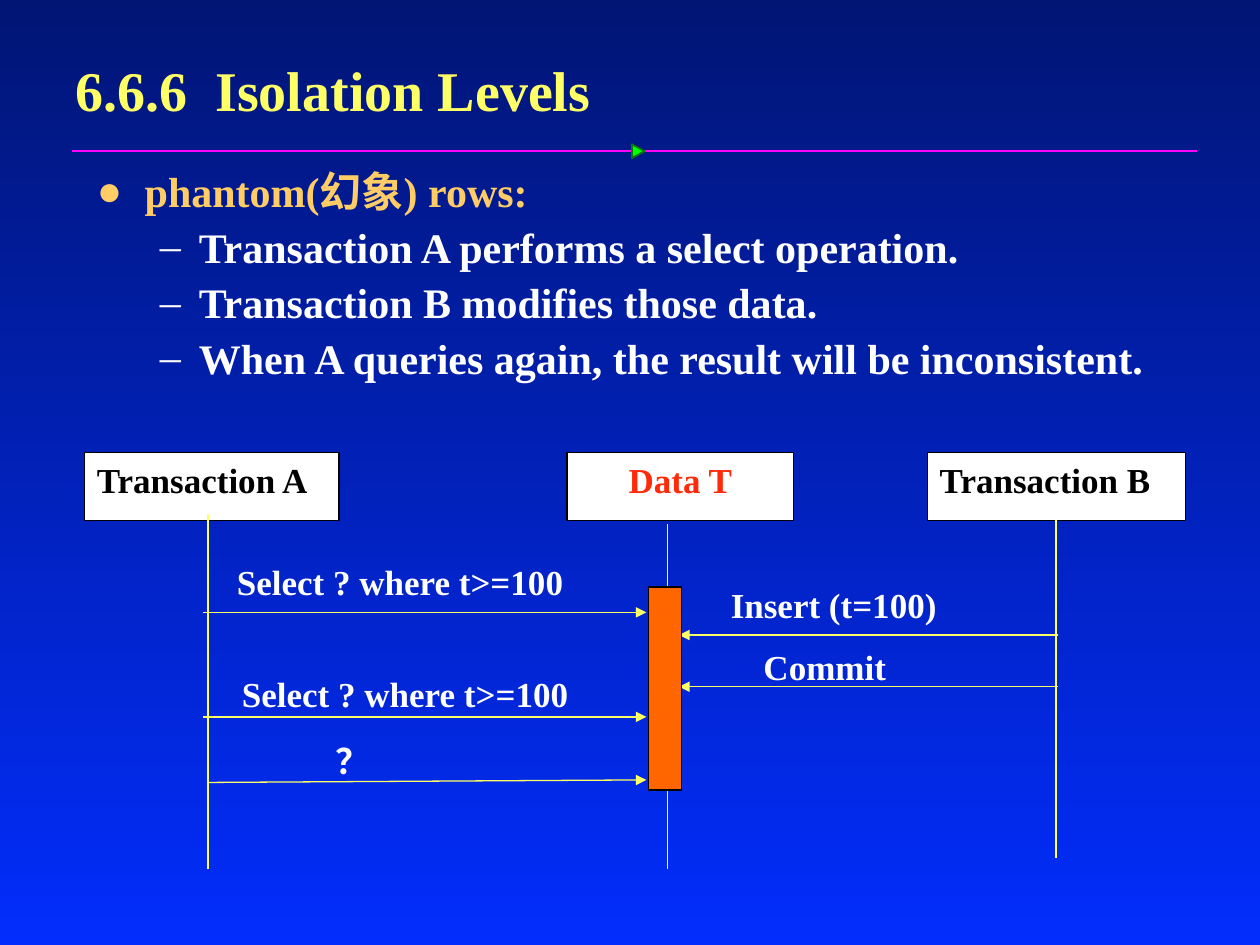
from dataclasses import dataclass

from lxml.etree import SubElement
from pptx import Presentation
from pptx.dml.color import RGBColor as RGB
from pptx.enum.shapes import MSO_CONNECTOR as Connector, MSO_SHAPE as Shape
from pptx.enum.text import MSO_ANCHOR as Anchor, PP_ALIGN as Align
from pptx.oxml.ns import qn
from pptx.util import Inches, Pt


@dataclass(frozen=True)
class Theme:
    font: str = "Times New Roman"
    sky_top: str = "011575"
    sky_bottom: str = "022DFC"
    yellow: str = "FFFF66"
    amber: str = "FFCC66"
    white: str = "FFFFFF"
    black: str = "000000"
    red: str = "FF2A07"
    orange: str = "FF6600"
    magenta: str = "FF01FF"
    green: str = "00FF00"
    dark_green: str = "037C03"
    title_size: float = 32
    body_size: float = 24
    label_size: float = 20
    hairline: float = 0.75
    rule: float = 1


class SlideBuilder:
    def __init__(self, slide, theme):
        self.slide = slide
        self.theme = theme

    def background(self):
        fill = self.slide.background.fill
        fill.gradient()
        fill.gradient_angle = 270
        colors = (self.theme.sky_top, self.theme.sky_bottom)
        for stop, color, position in zip(fill.gradient_stops, colors, (0, 1)):
            stop.color.rgb = RGB.from_string(color)
            stop.position = position

    def style(self, paragraph, size, color):
        font = paragraph.font
        font.name = self.theme.font
        font.size = Pt(size)
        font.bold = True
        font.color.rgb = RGB.from_string(color)

    def frame(self, left, top, width, height):
        area = self.slide.shapes.add_textbox(*map(Inches, (left, top, width, height)))
        area.text_frame.word_wrap = True
        return area.text_frame

    def title(self, text, *place):
        frame = self.frame(*place)
        frame.vertical_anchor = Anchor.MIDDLE
        frame.text = text
        self.style(frame.paragraphs[0], self.theme.title_size, self.theme.yellow)

    def bullets(self, heading, points, *place):
        frame = self.frame(*place)
        frame.text = "\n".join([heading, *points])
        first, *rest = frame.paragraphs
        self.bullet(first, "●", 0, 0.38, 0.38, self.theme.amber)
        for point in rest:
            self.bullet(point, "–", 1, 0.81, 0.31, self.theme.white)
            point.space_before = Pt(5.8)

    def bullet(self, paragraph, mark, level, margin, hanging, color):
        paragraph.level = level
        properties = paragraph._p.get_or_add_pPr()
        properties.set("marL", str(Inches(margin)))
        properties.set("indent", str(-Inches(hanging)))
        SubElement(properties, qn("a:buFont"), typeface=self.theme.font)
        SubElement(properties, qn("a:buChar"), char=mark)
        paragraph.line_spacing = 0.9
        self.style(paragraph, self.theme.body_size, color)

    def label(self, text, left, top, width, align=Align.JUSTIFY):
        frame = self.frame(left, top, width, 0.36)
        frame.margin_left = frame.margin_right = 0
        frame.margin_top = frame.margin_bottom = 0
        frame.text = text
        frame.paragraphs[0].alignment = align
        self.style(frame.paragraphs[0], self.theme.label_size, self.theme.white)

    def shape(self, kind, place, fill, outline, weight):
        shape = self.slide.shapes.add_shape(kind, *map(Inches, place))
        shape.shadow.inherit = False
        shape.fill.solid()
        shape.fill.fore_color.rgb = RGB.from_string(fill)
        shape.line.color.rgb = RGB.from_string(outline)
        shape.line.width = Pt(weight)
        return shape

    def participant(self, text, left, width, color, align):
        theme = self.theme
        header = self.shape(Shape.RECTANGLE, (left, 3.59, width, 0.54),
                            theme.white, theme.black, theme.hairline)
        frame = header.text_frame
        frame.vertical_anchor = Anchor.TOP
        frame.text = text
        frame.paragraphs[0].alignment = align
        self.style(frame.paragraphs[0], theme.label_size, color)

    def line(self, start, end, color, weight, arrow=False):
        connector = self.slide.shapes.add_connector(
            Connector.STRAIGHT, *map(Inches, (*start, *end)))
        connector.line.color.rgb = RGB.from_string(color)
        connector.line.width = Pt(weight)
        if arrow:
            SubElement(connector.line._get_or_add_ln(), qn("a:tailEnd"), type="triangle")
        SubElement(connector._element.spPr, qn("a:effectLst"))


def main():
    theme = Theme()
    deck = Presentation()
    deck.slide_width, deck.slide_height = Inches(10), Inches(7.5)
    build = SlideBuilder(deck.slides.add_slide(deck.slide_layouts[6]), theme)

    build.background()
    build.title("6.6.6  Isolation Levels", 0.5, 0.33, 7.58, 0.75)
    build.bullets("phantom(幻象) rows:", [
        "Transaction A performs a select operation.",
        "Transaction B modifies those data.",
        "When A queries again, the result will be inconsistent.",
    ], 0.67, 1.31, 8.65, 2.05)
    build.line((0.57, 1.2), (9.5, 1.2), theme.magenta, theme.rule)
    marker = build.shape(Shape.ISOSCELES_TRIANGLE, (5.01, 1.15, 0.11, 0.1),
                         theme.green, theme.dark_green, theme.rule)
    marker.rotation = 90

    for name, left, width, color, align in (
        ("Transaction A", 0.67, 2.02, theme.black, Align.JUSTIFY),
        ("Transaction B", 7.36, 2.05, theme.black, Align.JUSTIFY),
        ("Data T", 4.5, 1.8, theme.red, Align.CENTER),
    ):
        build.participant(name, left, width, color, align)

    for x, top, bottom in ((1.65, 4.08, 6.9), (5.3, 4.16, 6.9), (8.38, 4.13, 6.81)):
        build.line((x, top), (x, bottom), theme.yellow, theme.hairline)

    for start, end in (
        ((1.61, 4.86), (5.13, 4.86)),
        ((1.61, 5.69), (5.13, 5.69)),
        ((1.66, 6.21), (5.13, 6.19)),
        ((8.4, 5.04), (5.39, 5.04)),
        ((8.4, 5.45), (5.39, 5.45)),
    ):
        build.line(start, end, theme.yellow, theme.hairline, arrow=True)

    for message, left, top, width in (
        ("Select ? where t>=100", 1.88, 4.45, 3.17),
        ("Insert (t=100)", 5.8, 4.63, 2.1),
        ("Commit", 6.06, 5.12, 1.8),
        ("Select ? where t>=100", 1.92, 5.34, 3.31),
    ):
        build.label(message, left, top, width)
    build.label("？", 2.5, 5.87, 0.6, Align.CENTER)

    build.shape(Shape.RECTANGLE, (5.15, 4.66, 0.26, 1.61),
                theme.orange, theme.black, theme.hairline)
    deck.save("out.pptx")


if __name__ == "__main__":
    main()
